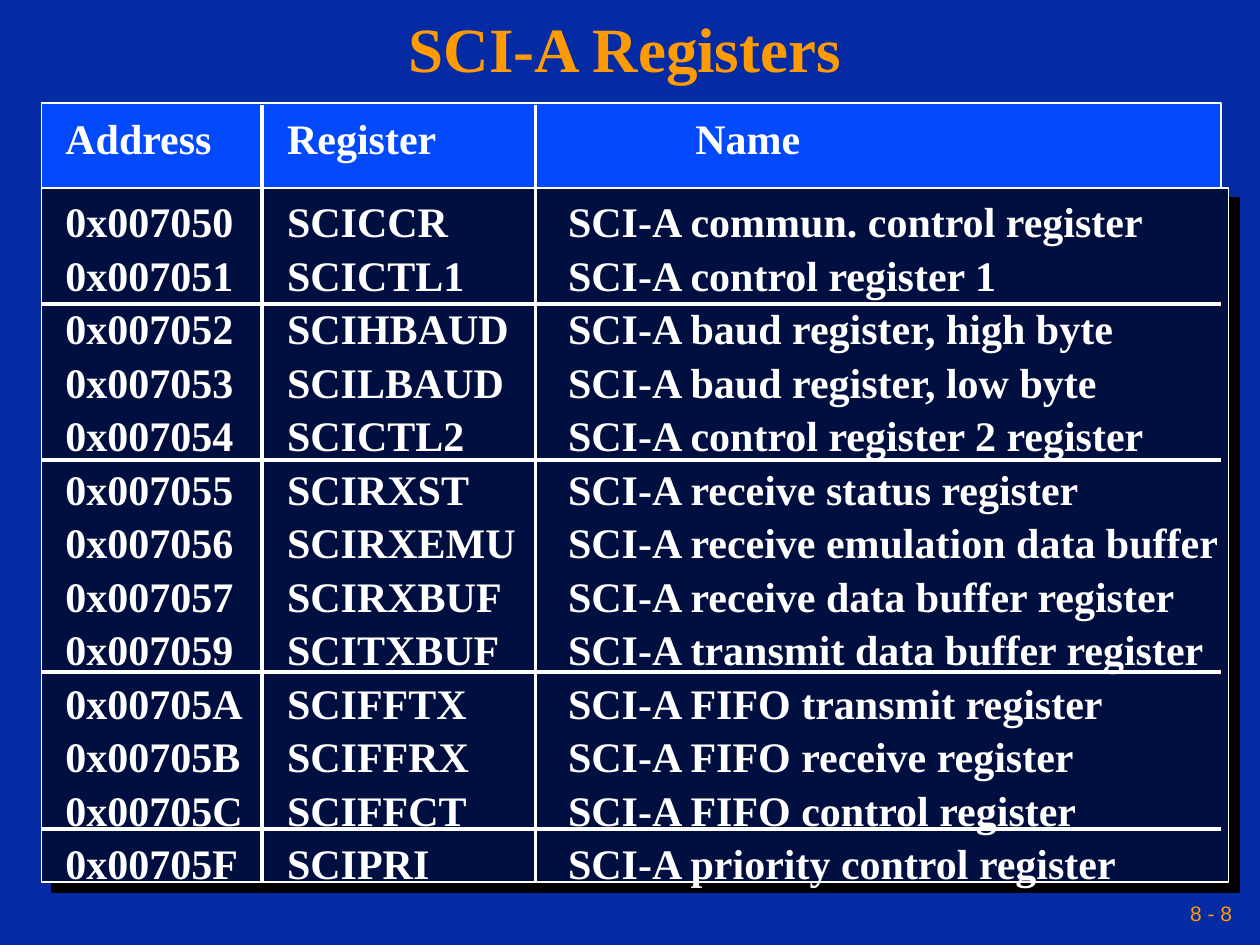
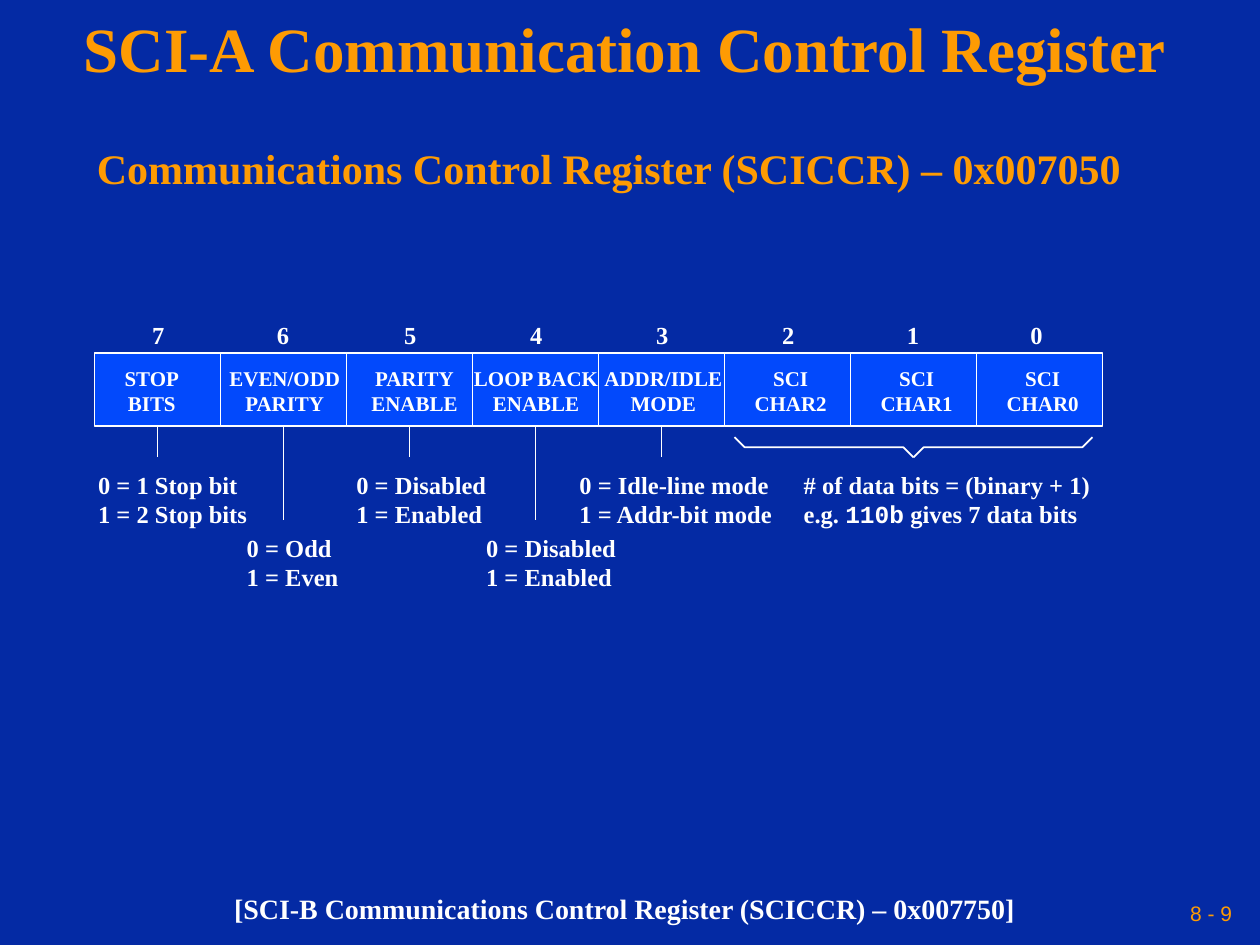
import dataclasses

import lxml.etree
import pptx
import pptx.dml.color
import pptx.enum.shapes
import pptx.enum.text
import pptx.oxml.ns
import pptx.util

Inches = pptx.util.Inches
Pt = pptx.util.Pt
ALIGN = pptx.enum.text.PP_ALIGN
ANCHOR = pptx.enum.text.MSO_ANCHOR
FIT = pptx.enum.text.MSO_AUTO_SIZE
qn = pptx.oxml.ns.qn


@dataclasses.dataclass(frozen=True)
class Theme:
    background: str = "042AA4"
    accent: str = "FE9B03"
    bright: str = "0249FC"
    dark: str = "000F40"
    ink: str = "FFFFFF"
    shadow: str = "000000"
    serif: str = "Times New Roman"
    sans: str = "Arial"
    mono: str = "Courier New"
    title: int = 36
    heading: int = 24
    note: int = 16
    label: int = 14
    small: int = 12
    thin: float = 1
    thick: float = 2.25


THEME = Theme()

REGISTERS = [
    ("0x007050", "SCICCR", "SCI-A commun. control register"),
    ("0x007051", "SCICTL1", "SCI-A control register 1"),
    ("0x007052", "SCIHBAUD", "SCI-A baud register, high byte"),
    ("0x007053", "SCILBAUD", "SCI-A baud register, low byte"),
    ("0x007054", "SCICTL2", "SCI-A control register 2 register"),
    ("0x007055", "SCIRXST", "SCI-A receive status register"),
    ("0x007056", "SCIRXEMU", "SCI-A receive emulation data buffer"),
    ("0x007057", "SCIRXBUF", "SCI-A receive data buffer register"),
    ("0x007059", "SCITXBUF", "SCI-A transmit data buffer register"),
    ("0x00705A", "SCIFFTX", "SCI-A FIFO transmit register"),
    ("0x00705B", "SCIFFRX", "SCI-A FIFO receive register"),
    ("0x00705C", "SCIFFCT", "SCI-A FIFO control register"),
    ("0x00705F", "SCIPRI", "SCI-A priority control register"),
]


@dataclasses.dataclass(frozen=True)
class BitField:
    caption: tuple
    caption_left: float
    caption_width: float
    number_left: float = 0.36
    meaning: tuple = ()
    meaning_left: float = 0
    meaning_width: float = 0
    stem: float = 0.25


SWITCH = ("0 = Disabled", "1 = Enabled")
BIT_FIELDS = [
    BitField(("STOP", "BITS"), 0.12, 0.67, 0.36,
             ("0 = 1 Stop bit", "1 = 2 Stop bits"), -0.07, 1.42),
    BitField(("EVEN/ODD", "PARITY"), -0.05, 1.12, 0.35,
             ("0 = Odd", "1 = Even"), 0.11, 0.97, 0.75),
    BitField(("PARITY", "ENABLE"), 0.08, 0.92, 0.36, SWITCH, -0.02, 1.27),
    BitField(("LOOP BACK", "ENABLE"), -0.11, 1.23, 0.36, SWITCH, 0.01, 1.27, 0.75),
    BitField(("ADDR/IDLE", "MODE"), -0.07, 1.17, 0.36,
             ("0 = Idle-line mode", "1 = Addr-bit mode"), -0.25, 1.78),
    BitField(("SCI", "CHAR2"), 0.12, 0.81),
    BitField(("SCI", "CHAR1"), 0.12, 0.81, 0.35),
    BitField(("SCI", "CHAR0"), 0.12, 0.81, 0.33),
]


def rgb(value):
    return pptx.dml.color.RGBColor.from_string(value)


def write_text(frame, text, size=THEME.label, color=THEME.ink, font=THEME.serif,
               bold=True, align=ALIGN.LEFT, spacing=None, before=None, tabs=()):
    paragraph = frame.add_paragraph() if frame.text else frame.paragraphs[0]
    if tabs:
        stops = lxml.etree.SubElement(paragraph._p.get_or_add_pPr(), qn("a:tabLst"))
        for stop in tabs:
            lxml.etree.SubElement(stops, qn("a:tab"), pos=str(Inches(stop)), algn="l")
    paragraph.alignment = align
    if spacing:
        paragraph.line_spacing = spacing
    if before:
        paragraph.space_before = Pt(before)
    pieces = [(text, font)] if isinstance(text, str) else text
    for words, face in pieces:
        run = paragraph.add_run()
        run.text = words
        run.font.name = face
        run.font.size = Pt(size)
        run.font.bold = bold
        run.font.color.rgb = rgb(color)


def set_frame(frame, wrap=False, side=0.1, anchor=ANCHOR.TOP, fit=FIT.SHAPE_TO_FIT_TEXT):
    frame.word_wrap = wrap
    frame.auto_size = fit
    frame.vertical_anchor = anchor
    frame.margin_left = frame.margin_right = Inches(side)
    frame.margin_top = frame.margin_bottom = Inches(0.05)


def add_text(slide, box, lines, frame_format=None, **text_format):
    frame = slide.shapes.add_textbox(*map(Inches, box)).text_frame
    set_frame(frame, **(frame_format or {}))
    for line in lines:
        write_text(frame, line, **text_format)
    return frame


def add_panel(slide, box, fill):
    panel = slide.shapes.add_shape(
        pptx.enum.shapes.MSO_SHAPE.RECTANGLE, *map(Inches, box))
    panel.shadow.inherit = False
    panel.fill.solid()
    panel.fill.fore_color.rgb = rgb(fill)
    panel.line.color.rgb = rgb(THEME.ink)
    panel.line.width = Pt(THEME.thin)
    return panel


def cast_shadow(panel):
    effects = panel._element.spPr.find(qn("a:effectLst"))
    shadow = lxml.etree.SubElement(
        effects, qn("a:outerShdw"), blurRad="0", dist=str(Pt(8.5)),
        dir=str(45 * 60000), algn="ctr", rotWithShape="0")
    lxml.etree.SubElement(shadow, qn("a:srgbClr"), val=THEME.shadow)


def add_rule(slide, start, end, width):
    rule = slide.shapes.add_connector(
        pptx.enum.shapes.MSO_CONNECTOR.STRAIGHT, *map(Inches, start + end))
    rule.line.color.rgb = rgb(THEME.ink)
    rule.line.width = Pt(width)
    lxml.etree.SubElement(rule._element.spPr, qn("a:effectLst"))
    return rule


def start_slide(deck, title, page, side):
    slide = deck.slides.add_slide(deck.slide_layouts.get_by_name("Title Only"))
    heading = slide.shapes.title
    heading.left, heading.top, heading.width, heading.height = map(
        Inches, (0, 0, 9.92, 0.83))
    set_frame(heading.text_frame, wrap=True, side=side, anchor=ANCHOR.MIDDLE, fit=FIT.NONE)
    write_text(heading.text_frame, title, size=THEME.title, color=THEME.accent,
               align=ALIGN.CENTER, spacing=0.9)
    add_text(slide, (6.83, 7.08, 3, 0.33), [page],
             dict(side=0.05, anchor=ANCHOR.MIDDLE, fit=FIT.NONE),
             size=THEME.small, color=THEME.accent, font=THEME.sans, bold=False,
             align=ALIGN.RIGHT)
    return slide


def draw_register_list(slide, left, top, width, height):
    add_panel(slide, (left, top, width, 0.72), THEME.bright)
    cast_shadow(add_panel(
        slide, (left, top + 0.67, width + 0.06, height - 0.67), THEME.dark))
    listing = add_text(
        slide, (left + 0.09, top + 0.02, 9.42, 6.26), ["Address\tRegister\tName"],
        dict(wrap=True), size=THEME.heading, tabs=(1.76, 5))
    for index, register in enumerate(REGISTERS):
        write_text(listing, "\t".join(register), size=THEME.heading,
                   spacing=0.8 if index else 1.4, before=7.5, tabs=(1.76, 3.99))
    for offset in (1.75, 3.92):
        add_rule(slide, (left + offset, top + 0.01), (left + offset, top + height),
                 THEME.thick)
    for offset in (1.59, 2.83, 4.51, 5.76):
        add_rule(slide, (left, top + offset), (left + width, top + offset), THEME.thick)


def draw_half_brace(slide, outer, tip, top):
    step = 0.08 if tip > outer else -0.08
    points = [(outer, top), (outer + step, top + 0.08),
              (tip - step, top + 0.08), (tip, top + 0.16)]
    corners = [(Inches(x), Inches(y)) for x, y in points]
    outline = slide.shapes.build_freeform(*corners[0])
    outline.add_line_segments(corners[1:], close=False)
    half = outline.convert_to_shape()
    half.shadow.inherit = False
    half.fill.background()
    half.line.color.rgb = rgb(THEME.ink)
    half.line.width = Pt(THEME.thin)


def draw_bit_fields(slide, left, top, cell_width, cell_height):
    bottom = top + cell_height
    lefts = [left + index * cell_width for index in range(len(BIT_FIELDS))]
    cells = [add_panel(slide, (x, top, cell_width, cell_height), THEME.bright)
             for x in lefts]
    for index, (field, x, cell) in enumerate(zip(BIT_FIELDS, lefts, cells)):
        add_text(slide, (x + field.caption_left, top + 0.05, field.caption_width, 0.5),
                 field.caption, size=THEME.small, align=ALIGN.CENTER)
        add_text(slide, (x + field.number_left, top - 0.31, 0.3, 0.33),
                 [str(len(BIT_FIELDS) - 1 - index)])
        if field.meaning:
            middle = x + cell_width / 2
            stem = add_rule(slide, (middle, bottom), (middle, bottom + field.stem),
                            THEME.thin)
            stem.begin_connect(cell, 2)
            add_text(slide, (x + field.meaning_left, bottom + field.stem + 0.05,
                             field.meaning_width, 0.56), field.meaning)


def draw_data_bits(slide, left, top, width):
    tip = left + width / 2
    for outer in (left, left + width):
        draw_half_brace(slide, outer, tip, top)
    example = [("e.g. ", THEME.serif), ("110b", THEME.mono),
               (" gives 7 data bits", THEME.serif)]
    add_text(slide, (left + 0.45, top + 0.21, 2.51, 0.56),
             ["# of data bits = (binary + 1)", example])


def build_registers(deck):
    slide = start_slide(deck, "SCI-A Registers", "8 - 8", 0.05)
    draw_register_list(slide, 0.33, 0.82, 9.36, 6.18)


def build_control_register(deck):
    slide = start_slide(deck, "SCI-A Communication Control Register", "8 - 9", 0.1)
    add_text(slide, (0.67, 1.08, 8.38, 0.5),
             ["Communications Control Register (SCICCR) – 0x007050"],
             size=THEME.heading, color=THEME.accent)
    draw_bit_fields(slide, 0.75, 2.8, 1, 0.58)
    draw_data_bits(slide, 5.83, 3.47, 2.84)
    add_text(slide, (1.76, 7.08, 6.44, 0.32),
             ["[SCI-B Communications Control Register (SCICCR) – 0x007750]"],
             size=THEME.note, spacing=0.8)


def main():
    deck = pptx.Presentation()
    deck.slide_width, deck.slide_height = Inches(10), Inches(7.5)
    backdrop = deck.slide_master.background.fill
    backdrop.solid()
    backdrop.fore_color.rgb = rgb(THEME.background)
    build_registers(deck)
    build_control_register(deck)
    deck.save("out.pptx")


if __name__ == "__main__":
    main()
